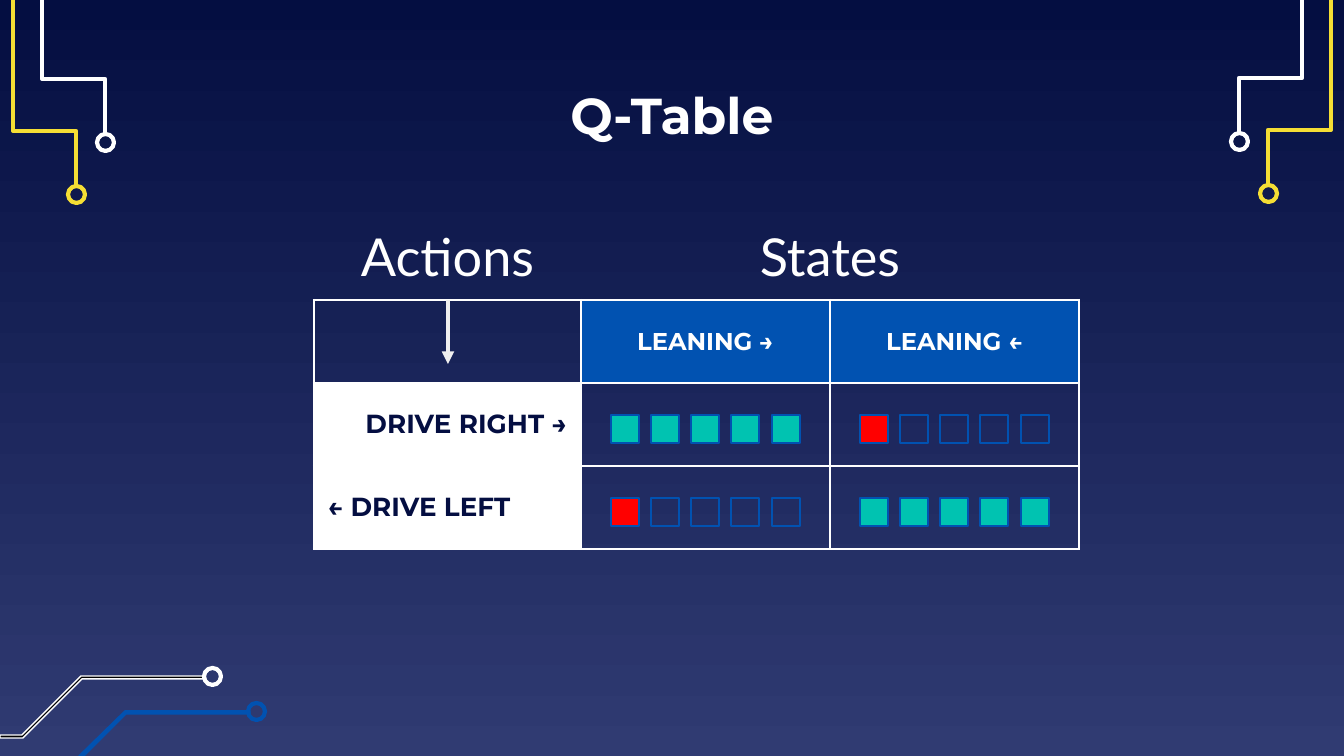
from lxml import etree
from pptx import Presentation
from pptx import util as u
from pptx.dml.color import RGBColor
from pptx.enum import shapes, text
from pptx.oxml.ns import qn

PX = 914400 / 134.4
COLORS = {
    "night": "040E41", "dusk": "303B72", "white": "FFFFFF", "yellow": "F5DE34",
    "blue": "0152B1", "teal": "00C3B1", "red": "FF0000", "black": "000000",
    "arrow": "EFEFEF",
}
ALIGN = text.PP_ALIGN
ANCHOR = text.MSO_ANCHOR
COLUMNS = [267, 249, 249]
ROW = 83
LEFT, TOP = 314, 300


def px(value):
    return u.Emu(round(value * PX))


def rgb(name):
    return RGBColor.from_string(COLORS[name])


def write(frame, wording, size, font="Montserrat", color="white", bold=False,
          align=ALIGN.CENTER):
    paragraph = frame.paragraphs[0]
    paragraph.alignment = align
    run = paragraph.add_run()
    run.text = wording
    run.font.size = u.Pt(size)
    run.font.name = font
    run.font.bold = bold
    run.font.color.rgb = rgb(color)


def set_frame(frame, anchor):
    frame.word_wrap = True
    frame.auto_size = text.MSO_AUTO_SIZE.NONE
    frame.vertical_anchor = anchor
    frame.margin_left = frame.margin_right = u.Inches(0.1)
    frame.margin_top = frame.margin_bottom = u.Inches(0.1)


def style(shape, line, width, fill=None):
    shape.shadow.inherit = False
    if fill:
        shape.fill.solid()
        shape.fill.fore_color.rgb = rgb(fill)
    else:
        shape.fill.background()
    shape.line.color.rgb = rgb(line)
    shape.line.width = u.Pt(width)


def add_path(slide, points, line, width, fill=None, close=False):
    builder = slide.shapes.build_freeform(*points[0], scale=PX)
    builder.add_line_segments(points[1:], close=close)
    style(builder.convert_to_shape(), line, width, fill)


def add_ring(slide, x, y, color):
    ring = slide.shapes.add_shape(
        shapes.MSO_SHAPE.OVAL, px(x - 8), px(y - 8), px(17), px(17))
    style(ring, color, 2.25)


def add_circuits(slide):
    for x, y, side, color in [(105, 134, -1, "white"), (76, 186, -1, "yellow"),
                              (1239, 133, 1, "white"), (1268, 185, 1, "yellow")]:
        edge, bend = x + side * 63, y - 55
        add_path(slide, [(x, y), (x, bend), (edge, bend), (edge, 0)], color, 2.25)
        add_ring(slide, x, y + 8, color)

    blue_track = [(79, 756), (125, 711), (250, 711), (250, 714), (126, 714), (84, 756)]
    white_track = [(0, 735), (22, 735), (81, 676), (205, 676),
                   (205, 679), (82, 679), (23, 738), (0, 738)]
    add_path(slide, blue_track, "blue", 0.75, fill="blue", close=True)
    add_ring(slide, 256, 711, "blue")
    add_path(slide, white_track, "white", 0.75, fill="black", close=True)
    add_ring(slide, 212, 676, "white")


def add_borders(cell):
    properties = cell._tc.get_or_add_tcPr()
    for side in ("a:lnL", "a:lnR", "a:lnT", "a:lnB"):
        border = etree.SubElement(properties, qn(side), w=str(u.Pt(1.47)))
        fill = etree.SubElement(border, qn("a:solidFill"))
        etree.SubElement(fill, qn("a:srgbClr"), val=COLORS["white"])


def add_q_table(slide):
    table = slide.shapes.add_table(
        3, 3, px(LEFT), px(TOP), px(sum(COLUMNS)), px(3 * ROW)).table
    table.first_row = table.horz_banding = False
    for column, width in zip(table.columns, COLUMNS):
        column.width = px(width)
    for row in table.rows:
        row.height = px(ROW)
    labels = {
        (0, 1): ("LEANING →", 13, "white", "blue", ALIGN.CENTER),
        (0, 2): ("LEANING ←", 13, "white", "blue", ALIGN.CENTER),
        (1, 0): ("DRIVE RIGHT →", 14, "night", "white", ALIGN.RIGHT),
        (2, 0): ("← DRIVE LEFT", 14, "night", "white", ALIGN.LEFT),
    }
    for row in range(3):
        for column in range(3):
            cell = table.cell(row, column)
            add_borders(cell)
            cell.vertical_anchor = ANCHOR.MIDDLE
            if (row, column) in labels:
                wording, size, color, fill, align = labels[row, column]
                cell.fill.solid()
                cell.fill.fore_color.rgb = rgb(fill)
                write(cell.text_frame, wording, size, color=color, bold=True, align=align)
            else:
                cell.fill.background()


def add_score(slide, x, y, fills):
    for index, fill in enumerate(fills):
        square = slide.shapes.add_shape(
            shapes.MSO_SHAPE.RECTANGLE, px(x + index * 161 // 4), px(y), px(28), px(28))
        style(square, "blue", 1.5, fill)


def add_axis_label(slide, wording, x, width):
    label = slide.shapes.add_textbox(px(x), px(218), px(width), px(82))
    set_frame(label.text_frame, ANCHOR.BOTTOM)
    write(label.text_frame, wording, 28, font="Lato")


def add_arrow(slide, x, start, end):
    arrow = slide.shapes.add_connector(
        shapes.MSO_CONNECTOR.STRAIGHT, px(x), px(start), px(x), px(end))
    arrow.line.color.rgb = rgb("arrow")
    arrow.line.width = u.Pt(2.25)
    etree.SubElement(arrow.line._get_or_add_ln(), qn("a:tailEnd"), type="triangle")
    etree.SubElement(arrow._element.spPr, qn("a:effectLst"))


def add_title(slide, wording):
    title = slide.shapes.title
    title.left, title.top, title.width, title.height = px(105), px(79), px(1134), px(70)
    set_frame(title.text_frame, ANCHOR.MIDDLE)
    write(title.text_frame, wording, 27, bold=True)


def set_background(slide):
    fill = slide.background.fill
    fill.gradient()
    fill.gradient_angle = 270
    for stop, position, color in zip(fill.gradient_stops, (0, 1), ("night", "dusk")):
        stop.position = position
        stop.color.rgb = rgb(color)


def main():
    deck = Presentation()
    deck.slide_width, deck.slide_height = px(1344), px(756)
    slide = deck.slides.add_slide(deck.slide_layouts[5])
    set_background(slide)
    add_circuits(slide)
    add_title(slide, "Q-Table")
    add_q_table(slide)

    good = ["teal"] * 5
    bad = ["red"] + [None] * 4
    for row, scores in enumerate([(good, bad), (bad, good)]):
        for column, fills in enumerate(scores):
            add_score(slide, 611 + column * COLUMNS[1], 415 + row * ROW, fills)

    add_axis_label(slide, "States", LEFT + COLUMNS[0], sum(COLUMNS[1:]))
    add_axis_label(slide, "Actions", LEFT, COLUMNS[0])
    add_arrow(slide, 448, TOP, 364)
    deck.save("out.pptx")


if __name__ == "__main__":
    main()
